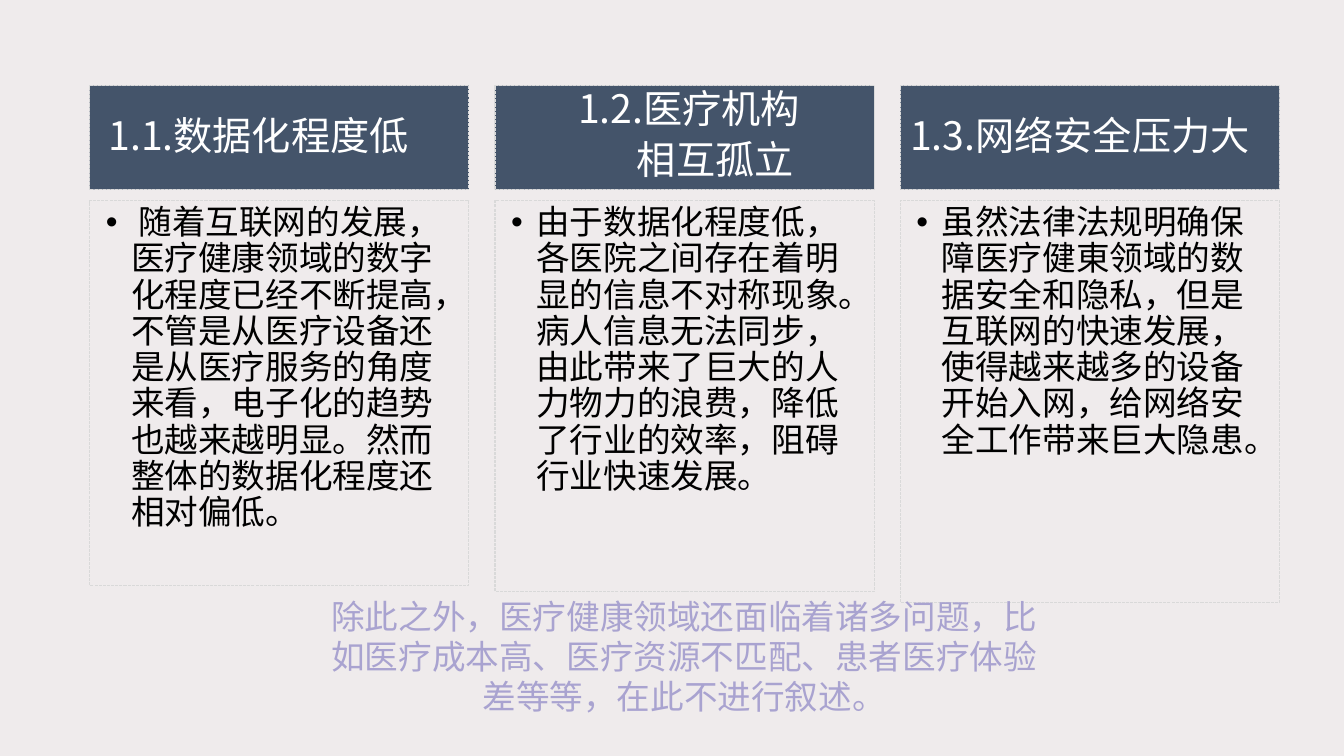
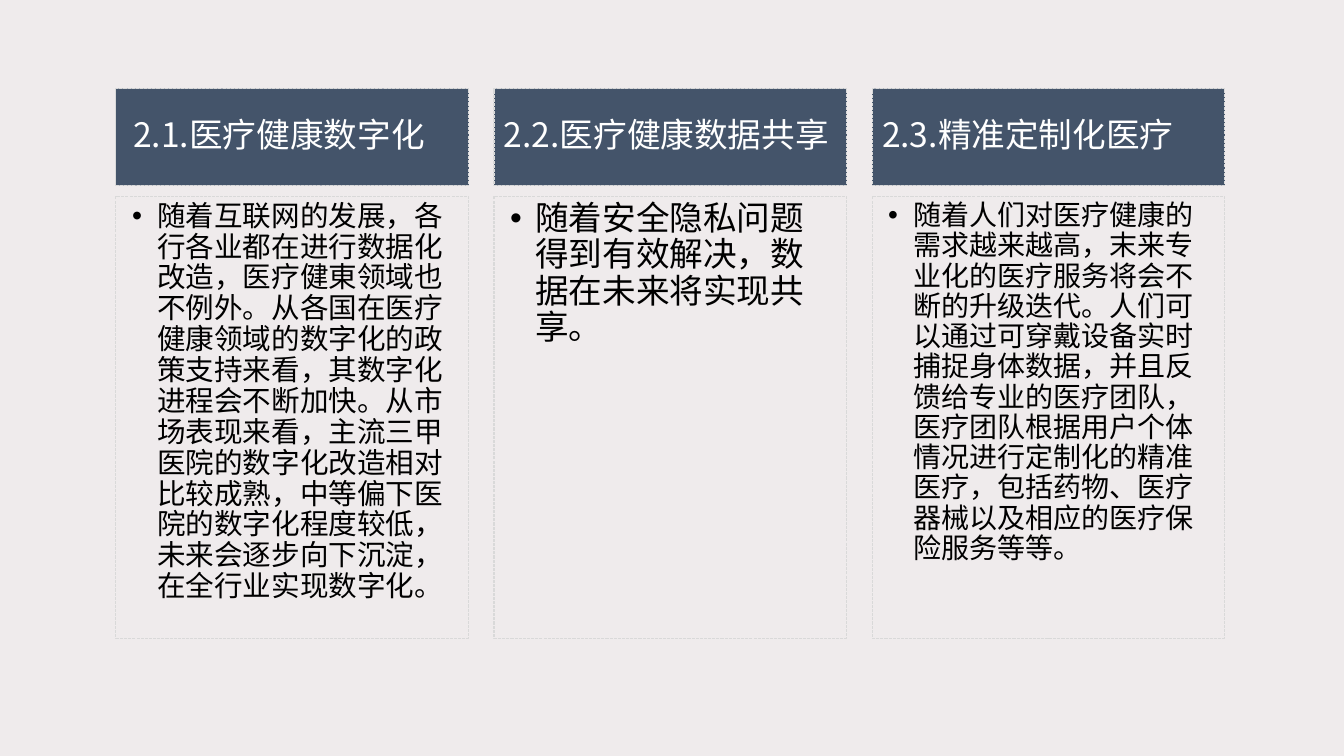
import dataclasses

import lxml.etree
import pptx
import pptx.dml.color
import pptx.enum.dml
import pptx.enum.shapes
import pptx.enum.text
import pptx.oxml.ns
import pptx.util

ALIGN = pptx.enum.text.PP_ALIGN
ANCHOR = pptx.enum.text.MSO_ANCHOR
Inches = pptx.util.Inches


@dataclasses.dataclass(frozen=True)
class Theme:
    """Colours, type sizes (points) and spacing shared by all slides."""
    font: str = "Noto Sans CJK SC"
    background: str = "EFEBEC"
    band: str = "44546A"
    border: str = "D9D9D9"
    band_text: str = "FFFFFF"
    body_text: str = "000000"
    remark_text: str = "A9A3D0"
    band_large: float = 28
    band_small: float = 24
    body: float = 24
    body_dense: float = 20.4
    body_densest: float = 20
    border_width: float = 0.75
    space_before: float = 10
    leading: float = 0.9
    tight_leading: float = 0.8
    bullet_indent: float = 0.25


@dataclasses.dataclass(frozen=True)
class Grid:
    """Equal columns between two edges, with a band row above a body row (inches)."""
    left: float
    right: float
    gap: float
    top: float
    band_height: float
    columns: int = 3
    row_gap: float = 0.11

    @property
    def width(self):
        return (self.right - self.left - self.gap * (self.columns - 1)) / self.columns

    def band(self, column):
        return self.left + column * (self.width + self.gap), self.top, self.width, self.band_height

    def body(self, column, height):
        left, top, width, band_height = self.band(column)
        return left, top + band_height + self.row_gap, width, height


def rgb(value):
    return pptx.dml.color.RGBColor.from_string(value)


class Deck:
    def __init__(self, theme):
        self.theme = theme
        self.prs = pptx.Presentation()
        self.prs.slide_width, self.prs.slide_height = Inches(13.33), Inches(7.5)
        backdrop = self.prs.slide_master.background.fill
        backdrop.solid()
        backdrop.fore_color.rgb = rgb(theme.background)
        self.slide = None

    def new_slide(self):
        self.slide = self.prs.slides.add_slide(self.prs.slide_layouts[6])

    def set_text(self, frame, text, size, color, align=ALIGN.LEFT, leading=None):
        """Fill a text frame, then style every paragraph and run in it."""
        frame.word_wrap = True
        frame.text = text
        for paragraph in frame.paragraphs:
            paragraph.alignment = align
            if leading:
                paragraph.line_spacing = leading
                paragraph.space_before = pptx.util.Pt(self.theme.space_before)
            for run in paragraph.runs:
                run.font.name = self.theme.font
                run.font.size = pptx.util.Pt(size)
                run.font.color.rgb = rgb(color)
                east_asian = lxml.etree.SubElement(
                    run.font._element, pptx.oxml.ns.qn("a:ea"))
                east_asian.set("typeface", self.theme.font)

    def indent(self, paragraph, left, first=0):
        properties = paragraph._p.get_or_add_pPr()
        properties.set("marL", str(Inches(left)))
        properties.set("indent", str(Inches(first)))
        return properties

    def panel(self, box, fill=None):
        """Rectangle with the shared dashed border."""
        shape = self.slide.shapes.add_shape(
            pptx.enum.shapes.MSO_SHAPE.RECTANGLE, *map(Inches, box))
        shape.shadow.inherit = False
        if fill:
            shape.fill.solid()
            shape.fill.fore_color.rgb = rgb(fill)
        else:
            shape.fill.background()
        shape.line.color.rgb = rgb(self.theme.border)
        shape.line.width = pptx.util.Pt(self.theme.border_width)
        shape.line.dash_style = pptx.enum.dml.MSO_LINE.SQUARE_DOT
        return shape.text_frame

    def band(self, box, text, size):
        """Heading band; a two-line heading is centred, its second line shifted right."""
        frame = self.panel(box, self.theme.band)
        frame.vertical_anchor = ANCHOR.MIDDLE
        two_lines = "\n" in text
        self.set_text(frame, text, size, self.theme.band_text,
                      ALIGN.CENTER if two_lines else ALIGN.LEFT,
                      self.theme.tight_leading if two_lines else self.theme.leading)
        for continuation in frame.paragraphs[1:]:
            self.indent(continuation, 0.61)

    def body(self, box, text, size):
        """Bulleted body panel."""
        frame = self.panel(box)
        frame.vertical_anchor = ANCHOR.TOP
        frame.margin_left = frame.margin_right = Inches(0.16)
        self.set_text(frame, text, size, self.theme.body_text, leading=self.theme.leading)
        step = self.theme.bullet_indent
        for paragraph in frame.paragraphs:
            properties = self.indent(paragraph, step, -step)
            for tag, key, value in (("a:buFont", "typeface", "Arial"),
                                    ("a:buChar", "char", "•")):
                lxml.etree.SubElement(properties, pptx.oxml.ns.qn(tag)).set(key, value)

    def columns(self, grid, band_size, topics):
        for column, (heading, height, size, text) in enumerate(topics):
            self.band(grid.band(column), heading, band_size)
            self.body(grid.body(column, height), text, size)

    def remark(self, box, text):
        frame = self.slide.shapes.add_textbox(*map(Inches, box)).text_frame
        self.set_text(frame, text, self.theme.body, self.theme.remark_text, ALIGN.CENTER)


def main():
    theme = Theme()
    deck = Deck(theme)

    # Slide 1: current problems
    problems = [
        (" 1.1.数据化程度低", 3.82, theme.body,
         " 随着互联网的发展，医疗健康领域的数字化程度已经不断提高，不管是从医疗设备还是从医疗服务的角度来看，"
         "电子化的趋势也越来越明显。然而整体的数据化程度还相对偏低。"),
        (" 1.2.医疗机构\n相互孤立", 3.88, theme.body,
         "由于数据化程度低，各医院之间存在着明显的信息不对称现象。病人信息无法同步，"
         "由此带来了巨大的人力物力的浪费，降低了行业的效率，阻碍行业快速发展。"),
        ("1.3.网络安全压力大", 3.99, theme.body,
         "虽然法律法规明确保障医疗健東领域的数据安全和隐私，但是互联网的快速发展，"
         "使得越来越多的设备开始入网，给网络安全工作带来巨大隐患。"),
    ]
    deck.new_slide()
    deck.columns(Grid(left=0.89, right=12.69, gap=0.26, top=0.85, band_height=1.03),
                 theme.band_large, problems)
    deck.remark((3.12, 5.86, 7.33, 1.3),
                "除此之外，医疗健康领域还面临着诸多问题，比如医疗成本高、医疗资源不匹配、"
                "患者医疗体验差等等，在此不进行叙述。")

    # Slide 2: future trends
    trend_height = 4.38
    trends = [
        (" 2.1.医疗健康数字化", trend_height, theme.body_dense,
         "随着互联网的发展，各行各业都在进行数据化改造，医疗健東领域也不例外。"
         "从各国在医疗健康领域的数字化的政策支持来看，其数字化进程会不断加快。"
         "从市场表现来看，主流三甲医院的数字化改造相对比较成熟，中等偏下医院的数字化程度较低，"
         "未来会逐步向下沉淀，在全行业实现数字化。"),
        ("2.2.医疗健康数据共享", trend_height, theme.body,
         "随着安全隐私问题得到有效解决，数据在未来将实现共享。"),
        ("2.3.精准定制化医疗", trend_height, theme.body_densest,
         "随着人们对医疗健康的需求越来越高，末来专业化的医疗服务将会不断的升级迭代。"
         "人们可以通过可穿戴设备实时捕捉身体数据，并且反馈给专业的医疗团队，"
         "医疗团队根据用户个体情况进行定制化的精准医疗，包括药物、医疗器械以及相应的医疗保险服务等等。"),
    ]
    deck.new_slide()
    deck.columns(Grid(left=1.15, right=12.15, gap=0.25, top=0.88, band_height=0.96),
                 theme.band_small, trends)

    deck.prs.save("out.pptx")


if __name__ == "__main__":
    main()
